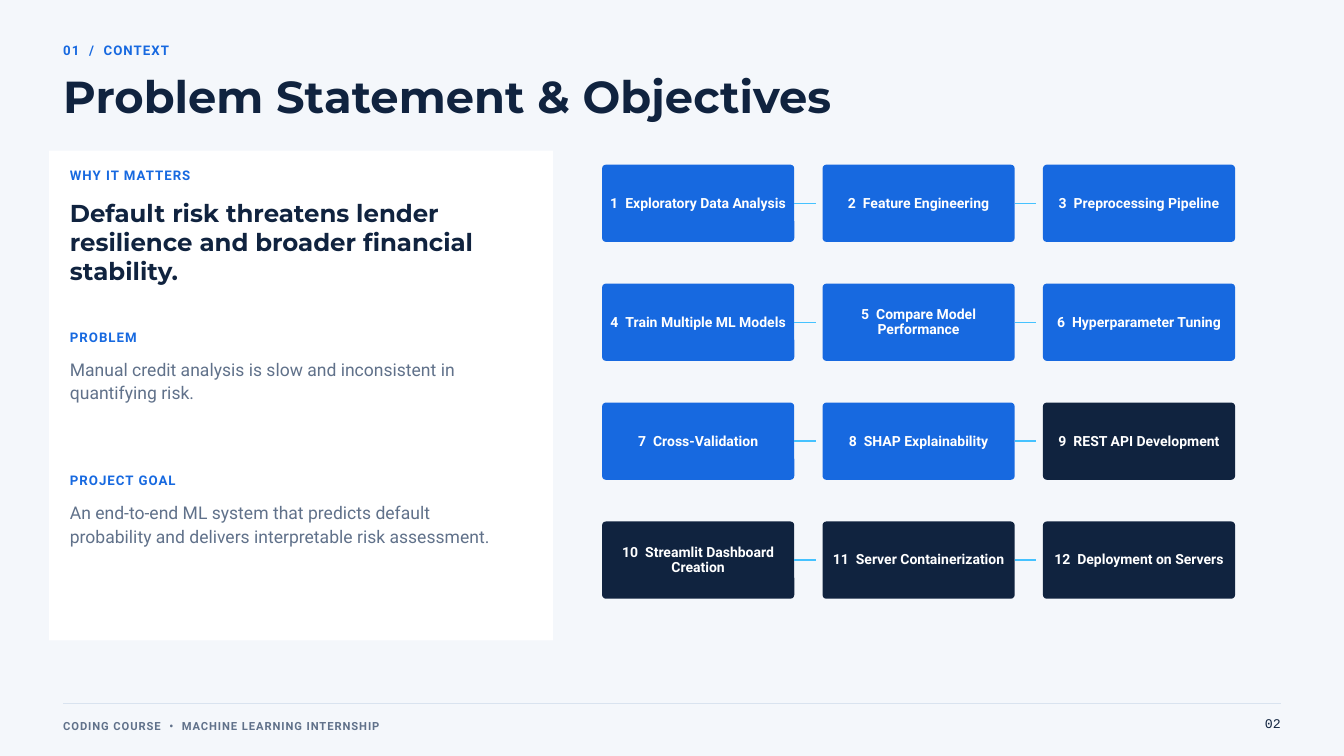
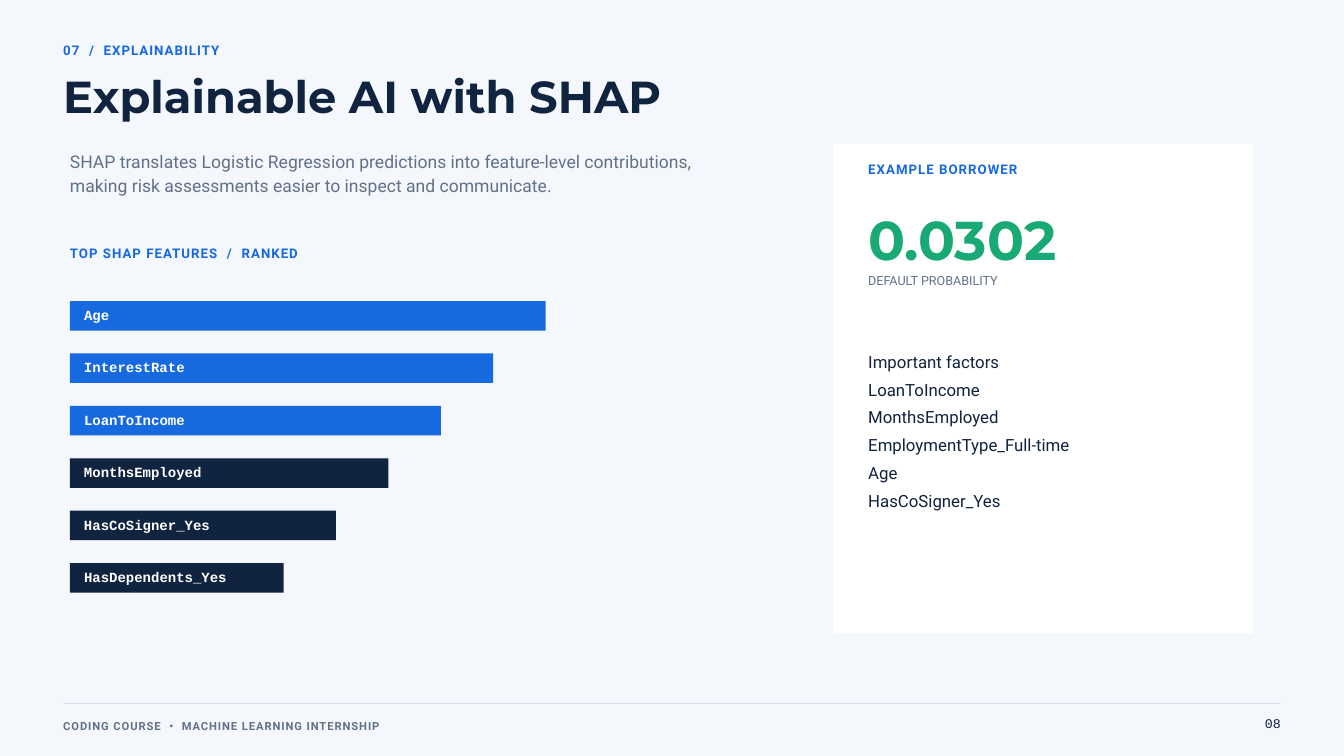
from dataclasses import dataclass
from typing import NamedTuple

from lxml import etree
from pptx import Presentation
from pptx.dml.color import RGBColor
from pptx.enum.shapes import MSO_CONNECTOR, MSO_SHAPE
from pptx.enum.text import MSO_ANCHOR, PP_ALIGN
from pptx.oxml.ns import qn
from pptx.util import Inches, Pt

RECTANGLE = MSO_SHAPE.RECTANGLE
ROUNDED = MSO_SHAPE.ROUNDED_RECTANGLE
STRAIGHT = MSO_CONNECTOR.STRAIGHT
TOP, MIDDLE = MSO_ANCHOR.TOP, MSO_ANCHOR.MIDDLE
LEFT, CENTER, RIGHT = PP_ALIGN.LEFT, PP_ALIGN.CENTER, PP_ALIGN.RIGHT
RIGHT_SIDE = 3

COLORS = {
    "page": "F4F7FB",
    "card": "FFFFFF",
    "blue": "1769E0",
    "navy": "10233F",
    "slate": "60718A",
    "green": "19A974",
    "sky": "45C2FF",
    "rule": "D9E3EF",
}


class Box(NamedTuple):
    left: float
    top: float
    width: float
    height: float


class Bar(NamedTuple):
    feature: str
    color: str


@dataclass(frozen=True)
class Style:
    size: float
    leading: float
    color: str
    font: str = "Roboto"
    bold: bool = False
    tracking: float = 0
    align: PP_ALIGN = LEFT


LABEL = Style(14.2, 19.9, "blue", bold=True, tracking=1.1)
TITLE = Style(48, 51.8, "navy", "Montserrat", bold=True)
STATEMENT = Style(26.2, 31.5, "navy", "Montserrat", bold=True)
BODY = Style(18.8, 25.3, "slate")
STEP = Style(15, 16.5, "card", bold=True, align=CENTER)
SCORE = Style(58.5, 81.9, "green", "Montserrat", bold=True)
CAPTION = Style(13.5, 17.6, "slate")
FACTOR = Style(18, 29.7, "navy")
FEATURE = Style(15, 21, "card", "Courier New", bold=True)
FOOTER = Style(12, 16.8, "slate", bold=True, tracking=1)
PAGE_NUMBER = Style(14.2, 19.9, "navy", "Courier New", align=RIGHT)

MARGIN = 0.94
RIGHT_EDGE = 19.06
INDENT = 1.04

STEPS = [
    "Exploratory Data Analysis", "Feature Engineering", "Preprocessing Pipeline",
    "Train Multiple ML Models", "Compare Model Performance", "Hyperparameter Tuning",
    "Cross-Validation", "SHAP Explainability", "REST API Development",
    "Streamlit Dashboard Creation", "Server Containerization", "Deployment on Servers",
]
MODELLING_STEPS = 8
STEP_COLUMNS = 3
FIRST_STEP = Box(8.96, 2.45, 2.86, 1.15)
STEP_PITCH_X, STEP_PITCH_Y = 3.28, 1.77
LINK_LENGTH = 0.32

BARS = [
    Bar("Age", "blue"),
    Bar("InterestRate", "blue"),
    Bar("LoanToIncome", "blue"),
    Bar("MonthsEmployed", "navy"),
    Bar("HasCoSigner_Yes", "navy"),
    Bar("HasDependents_Yes", "navy"),
]
LONGEST_BAR = Box(INDENT, 4.48, 7.08, 0.44)
BAR_PITCH, BAR_SHRINK = 0.78, 0.78

FACTORS = ["Important factors", "LoanToIncome", "MonthsEmployed",
           "EmploymentType_Full-time", "Age", "HasCoSigner_Yes"]


def rgb(name: str) -> RGBColor:
    return RGBColor.from_string(COLORS[name])


def inches(box: Box) -> list:
    return [Inches(length) for length in box]


def add_run(paragraph, text: str, style: Style, tracking: float) -> None:
    run = paragraph.add_run()
    run.text = text
    run.font.size = Pt(style.size)
    run.font.name = style.font
    run.font.bold = style.bold
    run.font.color.rgb = rgb(style.color)
    if tracking:
        run._r.get_or_add_rPr().set("spc", str(round(tracking * 100)))


def write(frame, lines: list, style: Style, anchor=TOP, insets=(0, 0, 0, 0)) -> None:
    """Fill a frame; a line given as a tuple has its parts set apart by wide gaps."""
    frame.word_wrap = True
    frame.vertical_anchor = anchor
    (frame.margin_left, frame.margin_top,
     frame.margin_right, frame.margin_bottom) = [Inches(inset) for inset in insets]
    wide_gap = style.size / 4 + 2 * style.tracking
    for index, line in enumerate(lines):
        paragraph = frame.add_paragraph() if index else frame.paragraphs[0]
        paragraph.alignment = style.align
        paragraph.line_spacing = Pt(style.leading)
        parts = (line,) if isinstance(line, str) else line
        for position, part in enumerate(parts):
            if position:
                add_run(paragraph, " ", style, wide_gap)
            add_run(paragraph, part, style, style.tracking)


def add_text(slide, box: Box, style: Style, *lines) -> None:
    write(slide.shapes.add_textbox(*inches(box)).text_frame, lines, style)


def add_panel(slide, box: Box, color: str, kind=RECTANGLE):
    panel = slide.shapes.add_shape(kind, *inches(box))
    panel.shadow.inherit = False
    panel.fill.solid()
    panel.fill.fore_color.rgb = rgb(color)
    panel.line.fill.background()
    return panel


def add_rule(slide, left: float, right: float, y: float, color: str, weight: float):
    rule = slide.shapes.add_connector(
        STRAIGHT, Inches(left), Inches(y), Inches(right), Inches(y))
    rule.line.color.rgb = rgb(color)
    rule.line.width = Pt(weight)
    etree.SubElement(rule._element.spPr, qn("a:effectLst"))
    return rule


def add_page(deck, section: tuple, title: str, number: str):
    """Add a slide with its section label, title and footer."""
    slide = deck.slides.add_slide(deck.slide_layouts[6])
    slide.background.fill.solid()
    slide.background.fill.fore_color.rgb = rgb("page")
    add_text(slide, Box(MARGIN, 0.59, 7.29, 0.26), LABEL, section)
    add_text(slide, Box(MARGIN, 1.11, 15.62, 0.73), TITLE, title)
    add_rule(slide, MARGIN, RIGHT_EDGE, 10.46, "rule", 0.75)
    add_text(slide, Box(MARGIN, 10.67, 9.38, 0.22), FOOTER,
             ("CODING COURSE", "•", "MACHINE LEARNING INTERNSHIP"))
    add_text(slide, Box(18.12, 10.61, 0.94, 0.26), PAGE_NUMBER, number)
    return slide


def add_step(slide, index: int, task: str) -> None:
    row, column = divmod(index, STEP_COLUMNS)
    box = FIRST_STEP._replace(left=FIRST_STEP.left + column * STEP_PITCH_X,
                              top=FIRST_STEP.top + row * STEP_PITCH_Y)
    color = "blue" if index < MODELLING_STEPS else "navy"
    step = add_panel(slide, box, color, ROUNDED)
    step.adjustments[0] = 0.05
    write(step.text_frame, [(str(index + 1), task)], STEP, MIDDLE, (0.04,) * 4)
    if column < STEP_COLUMNS - 1:
        right = box.left + box.width
        link = add_rule(slide, right, right + LINK_LENGTH,
                        box.top + box.height / 2, "sky", 1.5)
        link.begin_connect(step, RIGHT_SIDE)


def build_objectives(deck) -> None:
    slide = add_page(deck, ("01", "/", "CONTEXT"), "Problem Statement & Objectives", "02")
    add_panel(slide, Box(0.73, 2.24, 7.5, 7.29), "card")
    add_text(slide, Box(INDENT, 2.45, 3.96, 0.26), LABEL, "WHY IT MATTERS")
    add_text(slide, Box(INDENT, 2.94, 6.77, 1.31), STATEMENT,
             "Default risk threatens lender resilience and broader financial stability.")
    topics = [
        (4.86, "PROBLEM",
         "Manual credit analysis is slow and inconsistent in quantifying risk."),
        (6.99, "PROJECT GOAL",
         "An end-to-end ML system that predicts default probability "
         "and delivers interpretable risk assessment."),
    ]
    for top, heading, detail in topics:
        add_text(slide, Box(INDENT, top, 3.12, 0.26), LABEL, heading)
        add_text(slide, Box(INDENT, top + 0.44, 6.46, 0.68), BODY, detail)
    for index, task in enumerate(STEPS):
        add_step(slide, index, task)


def build_explainability(deck) -> None:
    slide = add_page(deck, ("07", "/", "EXPLAINABILITY"), "Explainable AI with SHAP", "08")
    add_text(slide, Box(INDENT, 2.21, 9.38, 0.68), BODY,
             "SHAP translates Logistic Regression predictions into feature-level "
             "contributions, making risk assessments easier to inspect and communicate.")
    add_text(slide, Box(INDENT, 3.61, 6.77, 0.26), LABEL,
             ("TOP SHAP FEATURES", "/", "RANKED"))
    for rank, bar in enumerate(BARS):
        box = LONGEST_BAR._replace(top=LONGEST_BAR.top + rank * BAR_PITCH,
                                   width=LONGEST_BAR.width - rank * BAR_SHRINK)
        strip = add_panel(slide, box, bar.color)
        write(strip.text_frame, [bar.feature], FEATURE, insets=(0.21, 0.04, 0, 0))

    add_panel(slide, Box(12.4, 2.14, 6.25, 7.29), "card")
    borrower_left = 12.92
    add_text(slide, Box(borrower_left, 2.36, 5.21, 0.26), LABEL, "EXAMPLE BORROWER")
    add_text(slide, Box(borrower_left, 2.9, 5.21, 1.1), SCORE, "0.0302")
    add_text(slide, Box(borrower_left, 4.04, 5.21, 0.24), CAPTION, "DEFAULT PROBABILITY")
    add_text(slide, Box(borrower_left, 5.12, 5.42, 2.41), FACTOR, *FACTORS)


def main() -> None:
    deck = Presentation()
    deck.slide_width, deck.slide_height = Inches(20), Inches(11.25)
    build_objectives(deck)
    build_explainability(deck)
    deck.save("out.pptx")


if __name__ == "__main__":
    main()
